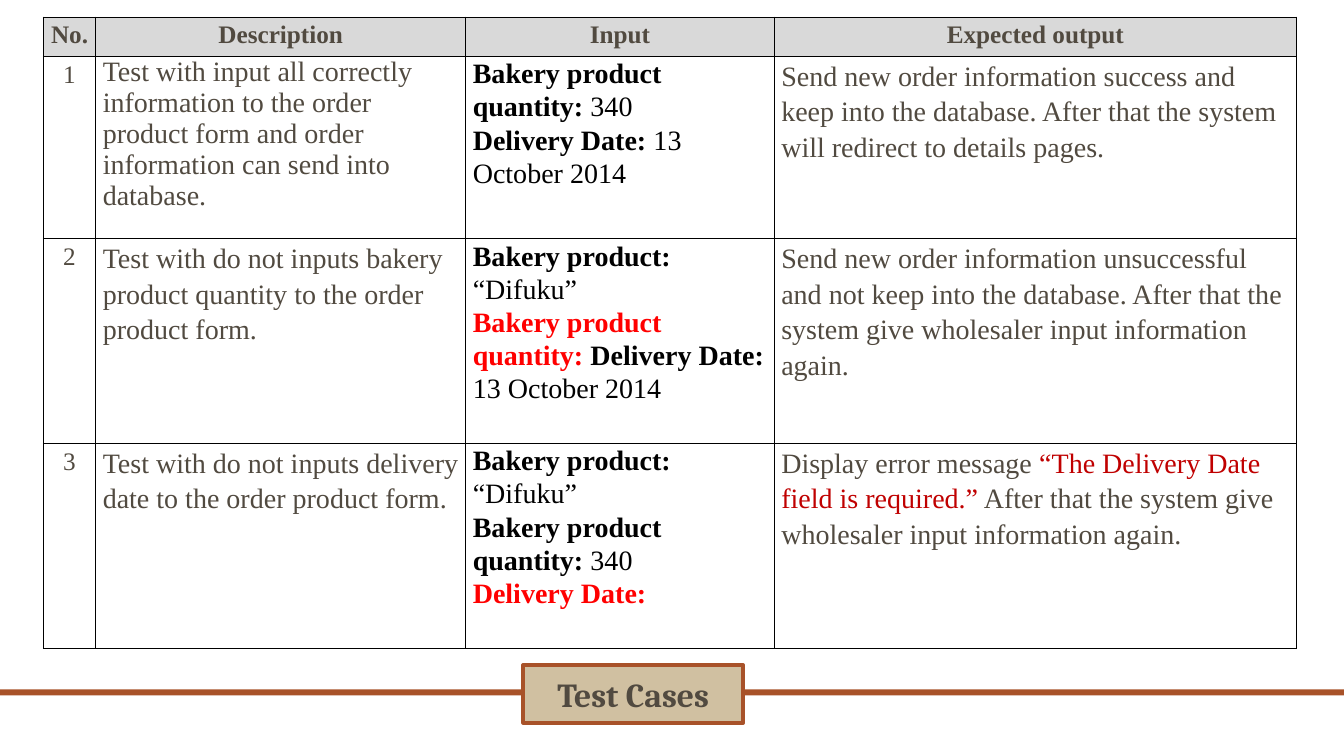
import pptx
import pptx.util
import pptx.dml.color
import pptx.enum.shapes
import pptx.enum.text
import pptx.oxml
import pptx.oxml.ns
from dataclasses import dataclass

PX = 9144  # 100 px to the inch
ALIGN = pptx.enum.text.PP_ALIGN


@dataclass(frozen=True)
class Theme:
    serif: str = "Times New Roman"
    title_font: str = "Cambria"
    text: str = "514A40"
    black: str = "000000"
    red: str = "FF0000"
    dark_red: str = "C00000"
    rust: str = "A85229"
    tan: str = "D0C0A1"
    grey: str = "D9D9D9"
    title_size: int = 24
    body_size: int = 20
    label_size: int = 18


T = Theme()
COLS = [52, 367, 306, 518]
ROWS = [39, 181, 203, 203]
HEADERS = ["No.", "Description", "Input", "Expected output"]


# Run helpers: (text, colour, bold)
def plain(text, color=T.text):
    return text, color, False


def field(label, value="", color=T.black):
    return [(label, color, True)] + ([plain(" " + value, T.black)] if value else [])


PRODUCT = field("Bakery product:", "“Difuku”")
QUANTITY = field("Bakery product quantity:", "340")
DATE = field("Delivery Date:", "13 October 2014")

# Description, description line spacing, input paragraphs, expected output runs
CASES = [
    ("Test with input all correctly information to the order product form and order "
     "information can send into database.", 1.0,
     [QUANTITY, DATE],
     [plain("Send new order information success and keep into the database. After that "
            "the system will redirect to details pages.")]),
    ("Test with do not inputs bakery product quantity to the order product form.", 1.15,
     [PRODUCT,
      field("Bakery product quantity:", color=T.red)
      + field(" Delivery Date:", "13 October 2014")],
     [plain("Send new order information unsuccessful and not keep into the database. After "
            "that the system give wholesaler input information again.")]),
    ("Test with do not inputs delivery date to the order product form.", 1.15,
     [PRODUCT, QUANTITY, field("Delivery Date:", color=T.red)],
     [plain("Display error message "),
      plain("“The Delivery Date field is required.”", T.dark_red),
      plain(" After that the system give wholesaler input information again.")]),
]


def rgb(color):
    return pptx.dml.color.RGBColor.from_string(color)


def write(tf, paragraphs, size, font=T.serif, align=ALIGN.LEFT, spacing=1.15):
    for i, runs in enumerate(paragraphs):
        p = tf.add_paragraph() if i else tf.paragraphs[0]
        p.alignment = align
        p.line_spacing = spacing
        for text, color, bold in runs:
            r = p.add_run()
            r.text = text
            fmt = {"name": font, "size": pptx.util.Pt(size), "bold": bold}
            for key, value in fmt.items():
                setattr(r.font, key, value)
            r.font.color.rgb = rgb(color)


def add_box(slide, box, fill, line=None):
    sp = slide.shapes.add_shape(pptx.enum.shapes.MSO_SHAPE.RECTANGLE, *(v * PX for v in box))
    sp.shadow.inherit = False
    sp.fill.solid()
    sp.fill.fore_color.rgb = rgb(fill)
    if line:
        sp.line.color.rgb = rgb(line)
        sp.line.width = pptx.util.Pt(3)
    else:
        sp.line.fill.background()
    return sp


def format_cell(cell, fill=None):
    margins = {"margin_left": 7, "margin_right": 7, "margin_top": 0, "margin_bottom": 0}
    for key, value in margins.items():
        setattr(cell, key, value * PX)
    tc_pr = cell._tc.get_or_add_tcPr()
    for side in "LRTB":
        tc_pr.append(pptx.oxml.parse_xml(
            f'<a:ln{side} {pptx.oxml.ns.nsdecls("a")} w="12700"><a:solidFill>'
            f'<a:srgbClr val="{T.black}"/></a:solidFill></a:ln{side}>'))
    if fill:
        cell.fill.solid()
        cell.fill.fore_color.rgb = rgb(fill)
    else:
        cell.fill.background()


def case_table(slide, box):
    table = slide.shapes.add_table(len(ROWS), len(COLS), *(v * PX for v in box)).table
    table.first_row = table.horz_banding = False
    for col, width in zip(table.columns, COLS):
        col.width = width * PX
    for row, height in zip(table.rows, ROWS):
        row.height = height * PX

    # Header row
    for c, header in enumerate(HEADERS):
        cell = table.cell(0, c)
        format_cell(cell, T.grey)
        write(cell.text_frame, [[(header, T.text, True)]], T.label_size, align=ALIGN.CENTER)

    # One row per test case
    for n, (description, spacing, inputs, expected) in enumerate(CASES, 1):
        contents = [
            ([[plain(str(n))]], T.label_size, ALIGN.CENTER, 1.15),
            ([[plain(description)]], T.body_size, ALIGN.LEFT, spacing),
            (inputs, T.body_size, ALIGN.LEFT, 1.07),
            ([expected], T.body_size, ALIGN.LEFT, 1.15),
        ]
        for c, (paragraphs, size, align, leading) in enumerate(contents):
            cell = table.cell(n, c)
            format_cell(cell)
            write(cell.text_frame, paragraphs, size, align=align, spacing=leading)


def title_band(slide, box):
    x, y, w, h = box
    # Rule across the slide, then the title plate on it
    add_box(slide, (x, y + 24, w, 6), T.rust)
    sp = add_box(slide, (x + 519, y, 218, h), T.tan, T.rust)
    tf = sp.text_frame
    tf.word_wrap = True
    tf.vertical_anchor = pptx.enum.text.MSO_ANCHOR.MIDDLE
    write(tf, [[("Test Cases", T.text, True)]], T.title_size, T.title_font, ALIGN.CENTER, 1.0)


def main():
    prs = pptx.Presentation()
    prs.slide_width, prs.slide_height = 1333 * PX, 750 * PX
    s = prs.slides.add_slide(prs.slide_layouts[6])
    title_band(s, (0, 660, 1333, 57))
    case_table(s, (43, 17, sum(COLS), sum(ROWS)))
    prs.save("out.pptx")


if __name__ == "__main__":
    main()
